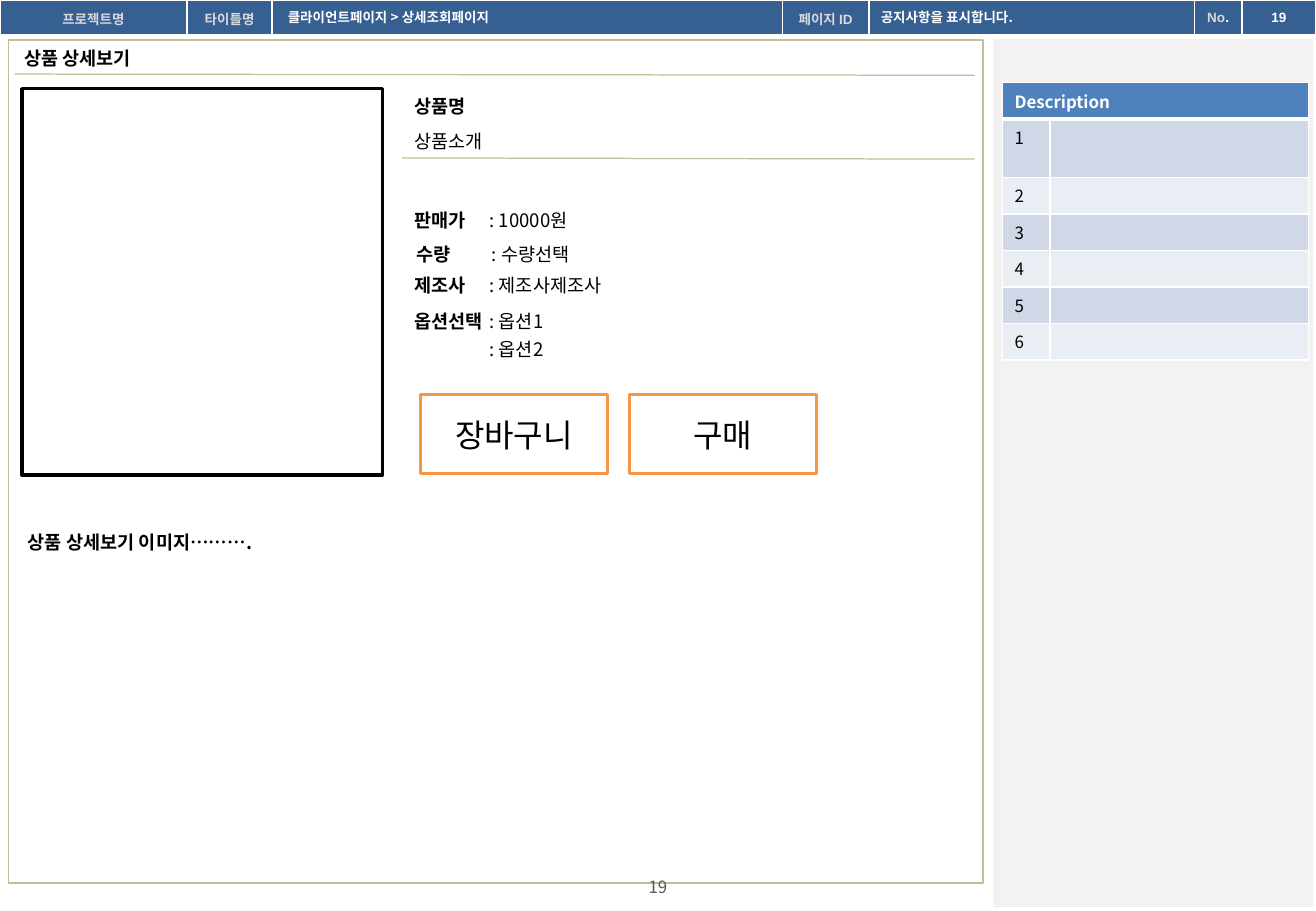
from lxml import etree
from pptx import Presentation
from pptx.dml.color import RGBColor
from pptx.enum.shapes import MSO_CONNECTOR, MSO_SHAPE
from pptx.enum.text import MSO_ANCHOR, PP_ALIGN
from pptx.oxml.ns import qn
from pptx.util import Inches, Pt

FONT = "Noto Sans CJK KR"
hex_color = RGBColor.from_string


def write(frame, text, size, color="000000", bold=False, align=PP_ALIGN.LEFT,
          anchor=MSO_ANCHOR.TOP, font=FONT):
    frame.word_wrap = True
    frame.vertical_anchor = anchor
    paragraph = frame.paragraphs[0]
    paragraph.alignment = align
    run = paragraph.add_run()
    run.text = text
    run.font.size = Pt(size)
    run.font.bold = bold
    run.font.name = font
    run.font.color.rgb = hex_color(color)
    east_asian = etree.SubElement(run.font._element, qn("a:ea"))
    east_asian.set("typeface", FONT)


def style_cell(cell, fill, bottom_width):
    if fill:
        cell.fill.solid()
        cell.fill.fore_color.rgb = hex_color(fill)
    else:
        cell.fill.background()
    properties = cell._tc.get_or_add_tcPr()
    for place, side in enumerate("LRTB"):
        border = etree.Element(qn(f"a:ln{side}"))
        border.set("w", str(Pt(bottom_width if side == "B" else 1)))
        solid = etree.SubElement(border, qn("a:solidFill"))
        etree.SubElement(solid, qn("a:srgbClr")).set("val", "FFFFFF")
        properties.insert(place, border)
    # Small text size keeps empty cells from stretching their row
    if not cell.text_frame.text:
        ending = etree.SubElement(cell.text_frame.paragraphs[0]._p, qn("a:endParaRPr"))
        ending.set("sz", "800")


prs = Presentation()
prs.slide_width, prs.slide_height = Inches(10.83), Inches(7.5)
slide = prs.slides.add_slide(prs.slide_layouts[6])
shapes = slide.shapes

# Layout grid
page_width = 10.83
rule_right = 8.02
info_left, value_left = 3.31, 3.93
button_left, button_step = 3.46, 1.72
row_height = 0.3

# Header bar, side panel, page frame, product photo and buttons
boxes = [
    (0, 0, page_width, 0.31, "376092", None, 0, ""),
    (8.16, 0.29, 2.66, 7.19, "F2F2F2", "FFFFFF", 2, ""),
    (0.07, 0.33, 8.02, 6.94, None, "C4BD97", 0.75, ""),
    (0.18, 0.73, 2.97, 3.18, "FFFFFF", "000000", 2, ""),
]
for column, label in enumerate(["장바구니", "구매"]):
    boxes.append((button_left + column * button_step, 3.25, 1.54, 0.65,
                  "FFFFFF", "F79646", 2, label))
for left, top, width, height, fill, line, line_width, label in boxes:
    box = shapes.add_shape(MSO_SHAPE.RECTANGLE, Inches(left), Inches(top),
                           Inches(width), Inches(height))
    box.shadow.inherit = False
    if fill:
        box.fill.solid()
        box.fill.fore_color.rgb = hex_color(fill)
    else:
        box.fill.background()
    if line:
        box.line.color.rgb = hex_color(line)
        box.line.width = Pt(line_width)
    else:
        box.line.fill.background()
    if label:
        write(box.text_frame, label, 19, align=PP_ALIGN.CENTER, anchor=MSO_ANCHOR.MIDDLE)

# Header table
header_widths = [1.54, 0.7, 4.2, 0.71, 2.68, 0.39, 0.61]
header_runs = [
    [("프로젝트명", "D9D9D9")], [("타이틀명", "D9D9D9")], [],
    [("페이지 ID", "D9D9D9")], [], [("No", "D9D9D9"), (".", "FFFFFF")],
    [("19", "FFFFFF")],
]
header = shapes.add_table(1, len(header_widths), 0, 0, Inches(page_width),
                          Inches(row_height)).table
header.first_row = header.horz_banding = False
for column, (width, runs) in enumerate(zip(header_widths, header_runs)):
    header.columns[column].width = Inches(width)
    cell = header.cell(0, column)
    cell.margin_left = cell.margin_right = Inches(0.05)
    cell.vertical_anchor = MSO_ANCHOR.MIDDLE
    for text, color in runs:
        write(cell.text_frame, text, 8, color, True, PP_ALIGN.CENTER,
              MSO_ANCHOR.MIDDLE, "Arial")
    style_cell(cell, None, 3)

# Description table
descriptions = shapes.add_table(7, 2, Inches(8.25), Inches(0.68), Inches(2.52),
                                Inches(7 * row_height)).table
descriptions.first_row = descriptions.horz_banding = False
descriptions.columns[0].width = Inches(0.39)
descriptions.columns[1].width = Inches(2.13)
descriptions.cell(0, 0).merge(descriptions.cell(0, 1))
for row in range(7):
    descriptions.rows[row].height = Inches(0.48 if row == 1 else row_height)
    number = descriptions.cell(row, 0)
    if row == 0:
        fill, bottom_width = "4F81BD", 3
        write(number.text_frame, "Description", 10, "FFFFFF", True)
    else:
        fill, bottom_width = ("D0D8E8" if row % 2 else "E9EDF4"), 1
        write(number.text_frame, str(row), 10)
    for column in range(2):
        style_cell(descriptions.cell(row, column), fill, bottom_width)

# Rules under the page title and the product intro
for left, top in [(0.12, 0.61), (info_left, 1.3)]:
    rule = shapes.add_connector(MSO_CONNECTOR.STRAIGHT, Inches(left), Inches(top),
                                Inches(rule_right), Inches(top + 0.01))
    rule.line.color.rgb = hex_color("C4BD97")
    rule.line.width = Pt(0.75)
    etree.SubElement(rule._element.spPr, qn("a:effectLst"))

# Page title and product details
details = [
    (0.1, 0.34, "상품 상세보기", True),
    (info_left, 0.73, "상품명", True),
    (info_left, 1.02, "상품소개", False),
    (0.13, 4.32, "상품 상세보기 이미지……….", True),
    (value_left, 2.73, ": 옵션2", False),
]
for top, shift, label, value in [
    (1.67, 0, "판매가", ": 10000원"),
    (1.95, 0.02, "수량", ": 수량선택"),
    (2.21, 0, "제조사", ": 제조사제조사"),
    (2.5, 0, "옵션선택", ": 옵션1"),
]:
    details.append((info_left + shift, top, label, True))
    details.append((value_left + shift, top, value, False))
for left, top, text, bold in details:
    detail = shapes.add_textbox(Inches(left), Inches(top), Inches(2.32), Inches(0.29))
    write(detail.text_frame, text, 11, bold=bold)

# Header captions and page number
for left, top, width, height, text, size, color, bold, align in [
    (2.27, 0, 4.17, 0.28, "클라이언트페이지 > 상세조회페이지", 8, "FFFFFF", True, PP_ALIGN.LEFT),
    (7.15, 0, 2.68, 0.28, "공지사항을 표시합니다.", 8, "FFFFFF", True, PP_ALIGN.LEFT),
    (4.15, 7.1, 2.53, 0.4, "19", 10, "595959", False, PP_ALIGN.CENTER),
]:
    caption = shapes.add_textbox(Inches(left), Inches(top), Inches(width), Inches(height))
    write(caption.text_frame, text, size, color, bold, align, MSO_ANCHOR.MIDDLE)

prs.save("out.pptx")
